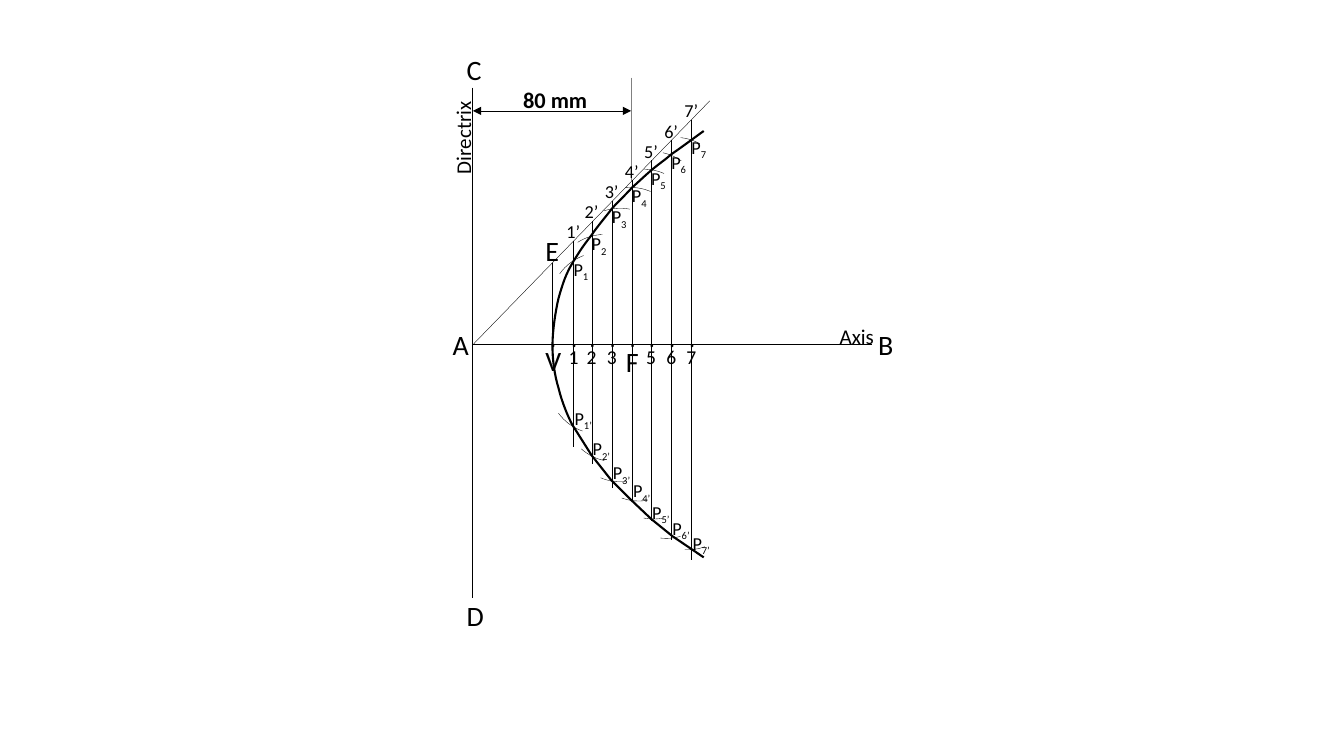
import math

import lxml.etree
import pptx
import pptx.dml.color
import pptx.enum.shapes
import pptx.enum.text
import pptx.oxml.ns
import pptx.util

Inches, Pt = pptx.util.Inches, pptx.util.Pt
qn = pptx.oxml.ns.qn
hues = {"ink": "000000", "gray": "808080"}
tint = {name: pptx.dml.color.RGBColor.from_string(code) for name, code in hues.items()}

deck = pptx.Presentation()
deck.slide_width, deck.slide_height = Inches(13.33), Inches(7.5)
slide = deck.slides.add_slide(deck.slide_layouts[6])


def label(text, left, top, wide, size, sub="", bold=None, wrap=True):
    """Add a one-line text box, with an optional subscript, and return it."""
    box = slide.shapes.add_textbox(
        Inches(left), Inches(top), Inches(wide), Inches(size / 60 + 0.1))
    frame = box.text_frame
    frame.word_wrap = wrap
    frame.auto_size = pptx.enum.text.MSO_AUTO_SIZE.SHAPE_TO_FIT_TEXT
    for part in filter(None, (text, sub)):
        run = frame.paragraphs[0].add_run()
        run.text = part
        run.font.name, run.font.size, run.font.bold = "Calibri", Pt(size), bold
        run.font.color.rgb = tint["ink"]
        if part == sub:
            run.font._element.set("baseline", "-25000")
    return box


def trace(dots, width, hub=None):
    """Draw an open curve through dots; its box also takes in the hub."""
    spots = [(Inches(x), Inches(y)) for x, y in dots]
    start = (Inches(hub[0]), Inches(hub[1])) if hub else spots[0]
    pen = slide.shapes.build_freeform(*start)
    if hub:
        pen.move_to(*spots[0])
    pen.add_line_segments(spots[1:], close=False)
    curve = pen.convert_to_shape()
    curve.shadow.inherit = False
    curve.fill.background()
    curve.line.color.rgb, curve.line.width = tint["ink"], Pt(width)
    return curve


# Key positions: directrix, axis, vertex and the ordinates
base, axis, vertex, focus = 4.69, 3.42, 5.48, 6.26
marks = [5.69, 5.87, 6.07, 6.27, 6.46, 6.66, 6.86]
feet = [4.43, 4.60, 4.84, 4.98, 5.17, 5.36, 5.56]
upper = [2.51, 2.26, 1.99, 1.78, 1.61, 1.45, 1.30]
lower = [3.99, 4.29, 4.53, 4.71, 4.92, 5.08, 5.23]

# Straight lines
lines = [
    (7.04, 1, base, axis, 0.25, "ink"),
    (base, axis, 8.65, axis, 0.5, "ink"),
    (base, 0.87, base, axis, 0.5, "ink"),
    (base, axis, base, 5.93, 0.5, "ink"),
    (vertex, 2.61, vertex, axis, 0.25, "ink"),
    (focus, 0.77, focus, 1.8, 0.25, "gray"),
]
for k, (x, foot) in enumerate(zip(marks, feet)):
    lines.append((x, 2.39 - 0.2 * k, x, foot, 0.25, "ink"))
lines.append((base, 1.1, focus, 1.1, 0.25, "ink"))

for x1, y1, x2, y2, width, hue in lines:
    line = slide.shapes.add_connector(
        pptx.enum.shapes.MSO_CONNECTOR.STRAIGHT,
        Inches(x1), Inches(y1), Inches(x2), Inches(y2))
    line.line.color.rgb, line.line.width = tint[hue], Pt(width)
    lxml.etree.SubElement(line._element.spPr, qn("a:effectLst"))

# The last line is the dimension, with an arrowhead at both ends
stroke = line.line._get_or_add_ln()
for end in ("a:headEnd", "a:tailEnd"):
    lxml.etree.SubElement(stroke, qn(end), type="triangle")

# Compass arcs: left, top, width and turn; each starts 46 degrees above its hub
radius, rise, steps = 0.5, 0.36, 8
arcs = [
    (5.50, 2.61, 0.49, 261.5), (5.55, 3.89, 0.49, 155.3),
    (5.64, 2.37, 0.48, 283.5), (5.75, 4.18, 0.48, 148.1),
    (5.86, 2.09, 0.48, 297.2), (5.90, 4.40, 0.48, 129.4),
    (6.03, 1.88, 0.48, 309.7), (6.10, 4.59, 0.48, 126.1),
    (6.20, 1.71, 0.46, 316.9), (6.27, 4.76, 0.46, 124.3),
    (6.34, 1.55, 0.46, 328.3), (6.42, 4.95, 0.46, 119.6),
    (6.54, 1.40, 0.46, 322.1), (6.65, 5.06, 0.46, 116.2),
]
for left, top, wide, turn in arcs:
    first, last = math.asin(rise / radius), math.acos(wide / radius)
    angles = [first + (last - first) * n / steps for n in range(steps + 1)]
    dots = [(left + radius * math.cos(a), top + rise - radius * math.sin(a)) for a in angles]
    trace(dots, 0.25, (left, top + rise)).rotation = turn

# The parabola: a start, then two handles and an end for each cubic piece
conic = [
    (6.98, 1.30), (6.91, 1.35), (6.75, 1.47), (6.66, 1.53),
    (6.58, 1.60), (6.53, 1.63), (6.46, 1.69),
    (6.40, 1.74), (6.34, 1.80), (6.27, 1.86),
    (6.21, 1.93), (6.14, 1.99), (6.07, 2.07),
    (6.01, 2.15), (5.93, 2.24), (5.87, 2.33),
    (5.80, 2.42), (5.77, 2.46), (5.69, 2.59),
    (5.61, 2.72), (5.58, 2.82), (5.54, 2.96),
    (5.51, 3.09), (5.48, 3.28), (5.48, 3.43),
    (5.48, 3.57), (5.50, 3.72), (5.54, 3.85),
    (5.57, 3.98), (5.64, 4.15), (5.68, 4.22),
]
tail = [(5.87, 4.52), (6.06, 4.76), (6.27, 4.97), (6.46, 5.15), (6.67, 5.32), (6.98, 5.53)]
dots = conic[:1]
for i in range(0, len(conic) - 1, 3):
    for n in range(1, steps + 1):
        t = n / steps
        u = 1 - t
        parts = (u**3, 3 * u * u * t, 3 * u * t * t, t**3)
        dots.append(tuple(
            sum(p * knot[side] for p, knot in zip(parts, conic[i:i + 4])) for side in (0, 1)))
trace(dots + tail, 1.5)

# Names of lines and main points
label("80 mm", 5.09, 0.81, 0.85, 16, bold=True)
label("Axis", 8.23, 3.16, 0.77, 15)
label("Directrix", 4.08, 1.14, 1.02, 15).rotation = 270
for name, left, top in [
    ("C", 4.53, 0.47), ("A", 4.39, 3.2), ("D", 4.53, 5.89), ("B", 8.61, 3.2),
    ("F", 6.11, 3.37), ("V", 5.31, 3.36), ("E", 5.31, 2.27),
]:
    label(name, left, top, 0.31, 20)

# Dots on the axis and labels along each ordinate
for x in [vertex] + marks:
    label(".", x - 0.12, 3.18, 0.26, 16, wrap=False)
for k, x in enumerate(marks, 1):
    if k != 4:
        label(str(k), x - 0.15, 3.37, 0.31, 14)
    label(f"{k}’", x - 0.17, 2.34 - 0.2 * k, 0.37, 13)
    label("P", x - 0.1, upper[k - 1], 0.37, 13, str(k))
    label("P", x - 0.09, lower[k - 1], 0.42, 13, f"{k}’")

deck.save("out.pptx")
